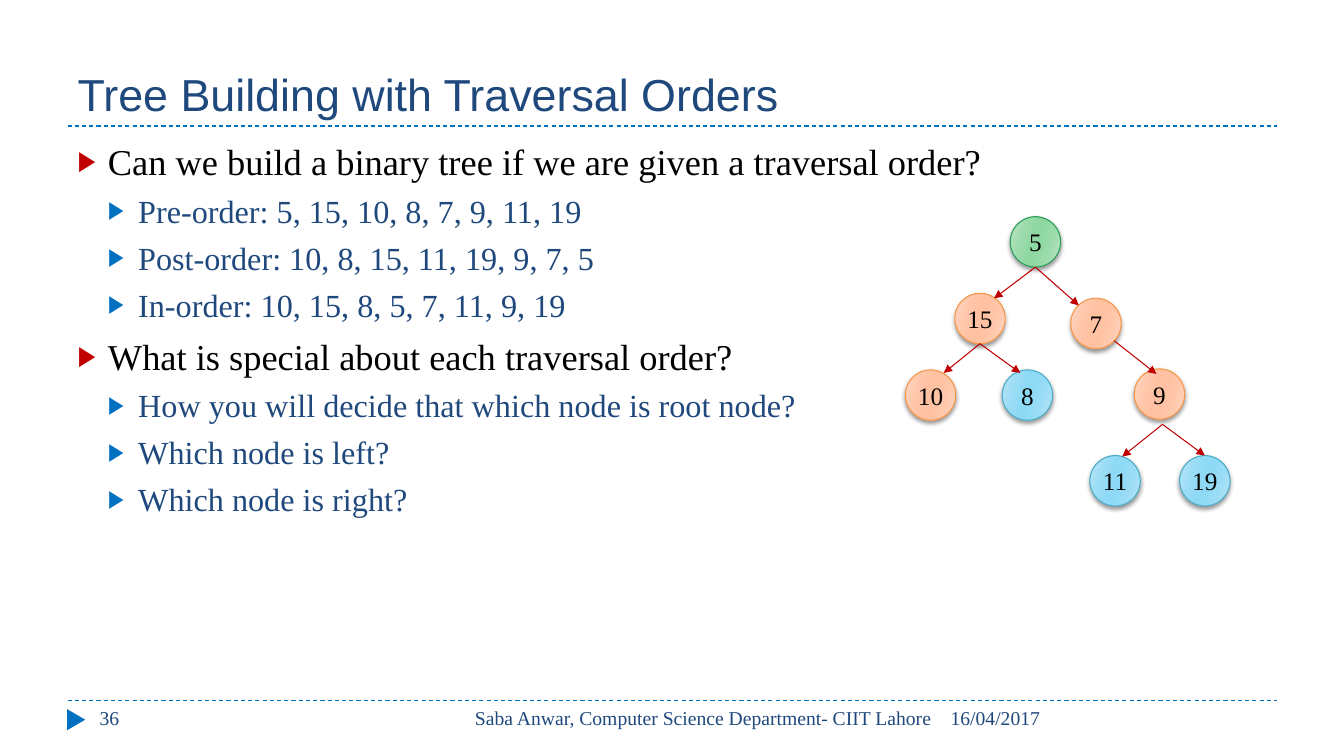
from lxml.etree import SubElement
from pptx import Presentation
from pptx.dml.color import RGBColor
from pptx.enum.dml import MSO_LINE
from pptx.enum.shapes import MSO_CONNECTOR, MSO_SHAPE
from pptx.enum.text import MSO_ANCHOR, MSO_AUTO_SIZE, PP_ALIGN
from pptx.oxml.ns import qn
from pptx.util import Emu, Pt

PX = 9144  # 100 px to the inch
SERIF = "Times New Roman"
NODE_SIZE = 50
COLORS = {
    "navy": "1F497D",
    "blue": "0070C0",
    "red": "C00000",
    "black": "000000",
}
GRADIENT_POSITIONS = (0, 30, 45, 55, 73, 100)
# Node style: outline, then gradient colours from the rim to the middle
NODE_STYLES = {
    "green": ("279D57", ("BBE4C5", "9BDBAB", "8FD8A1")),
    "orange": ("F79646", ("FFD7C5", "FFC6AA", "FFC1A1")),
    "sky": ("4BACC6", ("B9E5F7", "99DCF6", "8DD9F6")),
}
NODES = [
    ("5", 1002, 215, "green"),
    ("15", 947, 291, "orange"),
    ("7", 1062, 296, "orange"),
    ("10", 898, 367, "orange"),
    ("8", 994, 367, "sky"),
    ("9", 1125, 366, "orange"),
    ("11", 1081, 452, "sky"),
    ("19", 1170, 452, "sky"),
]
# Start of the arrows, then the end of each
BRANCHES = [
    ((1027, 265), [(986, 296), (1070, 303)]),
    ((972, 341), [(936, 370), (1012, 370)]),
    ((1105, 338), [(1147, 371)]),
    ((1153, 421), [(1113, 453), (1195, 452)]),
]
OUTLINE = [
    (0, "Can we build a binary tree if we are given a traversal order?"),
    (1, "Pre-order: 5, 15, 10, 8, 7, 9, 11, 19"),
    (1, "Post-order: 10, 8, 15, 11, 19, 9, 7, 5"),
    (1, "In-order: 10, 15, 8, 5, 7, 11, 9, 19"),
    (0, "What is special about each traversal order?"),
    (1, "How you will decide that which node is root node?"),
    (1, "Which node is left?"),
    (1, "Which node is right?"),
]
# Size, text colour, bullet colour and space before of each outline level
LEVELS = [(26, "black", "red", 7), (23, "navy", "blue", 6)]


def px(*lengths):
    return [Emu(length * PX) for length in lengths]


def rgb(name):
    return RGBColor.from_string(COLORS.get(name, name))


def write(para, text, size=14, color="navy", font=SERIF, align=PP_ALIGN.LEFT):
    para.alignment = align
    span = para.add_run()
    span.text = text
    span.font.size = Pt(size)
    span.font.name = font
    span.font.color.rgb = rgb(color)


def place(box, left, top, width, height, anchor):
    box.left, box.top, box.width, box.height = px(left, top, width, height)
    frame = box.text_frame
    frame.auto_size = MSO_AUTO_SIZE.NONE
    frame.word_wrap = True
    frame.vertical_anchor = anchor
    return frame


def add_bullet(para, level, color):
    props = para._p.get_or_add_pPr()
    props.set("marL", str(30 * PX * (level + 1)))
    props.set("indent", str(-30 * PX))
    tint = SubElement(props, qn("a:buClr"))
    SubElement(tint, qn("a:srgbClr"), val=COLORS[color])
    SubElement(props, qn("a:buSzPct"), val="76000")
    SubElement(props, qn("a:buFont"), typeface="Arial")
    SubElement(props, qn("a:buChar"), char="▶")


def fill_outline(frame):
    for index, (level, text) in enumerate(OUTLINE):
        size, color, bullet_color, space = LEVELS[level]
        para = frame.add_paragraph() if index else frame.paragraphs[0]
        para.level = level
        add_bullet(para, level, bullet_color)
        para.space_before = Pt(space if index else 0)
        write(para, text, size, color)


def add_line(page, start, end, color, dashed=False, arrow=False):
    line = page.shapes.add_connector(MSO_CONNECTOR.STRAIGHT, *px(*start, *end))
    line.line.color.rgb = rgb(color)
    line.line.width = Pt(0.75)
    if dashed:
        line.line.dash_style = MSO_LINE.DASH
    if arrow:
        SubElement(line.line._get_or_add_ln(), qn("a:tailEnd"), type="triangle")
    SubElement(line._element.spPr, qn("a:effectLst"))


def add_footer(page, text, left, width, align=PP_ALIGN.LEFT):
    box = page.shapes.add_textbox(*px(left, 695, width, 40))
    box.text_frame.word_wrap = True
    write(box.text_frame.paragraphs[0], text, align=align)


def add_marker(page):
    marker = page.shapes.add_shape(MSO_SHAPE.ISOSCELES_TRIANGLE, *px(65, 705, 21, 18))
    marker.rotation = 90
    marker.shadow.inherit = False
    marker.fill.solid()
    marker.fill.fore_color.rgb = rgb("blue")
    marker.line.fill.background()


def shade(node, tints):
    """Fill the node with a gradient that is symmetric about its middle."""
    node.fill.gradient()
    node.fill.gradient_angle = 344
    stops = node._element.spPr.find(".//" + qn("a:gsLst"))
    for stop in list(stops):
        stops.remove(stop)
    for position, tint in zip(GRADIENT_POSITIONS, tints + tints[::-1]):
        stop = SubElement(stops, qn("a:gs"), pos=str(position * 1000))
        SubElement(stop, qn("a:srgbClr"), val=tint)


def drop_shadow(node):
    node.shadow.inherit = False
    effects = node._element.spPr.find(qn("a:effectLst"))
    shadow = SubElement(effects, qn("a:outerShdw"), blurRad=str(Pt(3)),
                        dist=str(Pt(2)), dir="5400000", rotWithShape="0")
    tint = SubElement(shadow, qn("a:srgbClr"), val=COLORS["black"])
    SubElement(tint, qn("a:alpha"), val="40000")


def add_node(page, label, left, top, style):
    outline, tints = NODE_STYLES[style]
    node = page.shapes.add_shape(MSO_SHAPE.OVAL, *px(left, top, NODE_SIZE, NODE_SIZE))
    shade(node, tints)
    node.line.color.rgb = rgb(outline)
    node.line.width = Pt(0.75)
    drop_shadow(node)
    frame = node.text_frame
    frame.margin_left = frame.margin_right = 0
    frame.vertical_anchor = MSO_ANCHOR.MIDDLE
    write(frame.paragraphs[0], label, 18, "black", align=PP_ALIGN.CENTER)


def main():
    deck = Presentation()
    deck.slide_width, deck.slide_height = px(1333, 750)
    page = deck.slides.add_slide(deck.slide_layouts[1])

    for y in (695, 125):
        add_line(page, (67, y), (1267, y), "blue", dashed=True)
    add_marker(page)
    add_footer(page, "16/04/2017", 933, 334)
    add_footer(page, "Saba Anwar, Computer Science Department- CIIT Lahore",
               423, 511, PP_ALIGN.RIGHT)
    add_footer(page, "36", 89, 289)

    title = place(page.shapes.title, 67, 17, 1200, 108, MSO_ANCHOR.BOTTOM)
    write(title.paragraphs[0], "Tree Building with Traversal Orders", 32, font="Arial")
    fill_outline(place(page.placeholders[1], 67, 133, 1200, 540, MSO_ANCHOR.TOP))

    for node in NODES:
        add_node(page, *node)
    for start, ends in BRANCHES:
        for end in ends:
            add_line(page, start, end, "red", arrow=True)

    deck.save("out.pptx")


if __name__ == "__main__":
    main()
